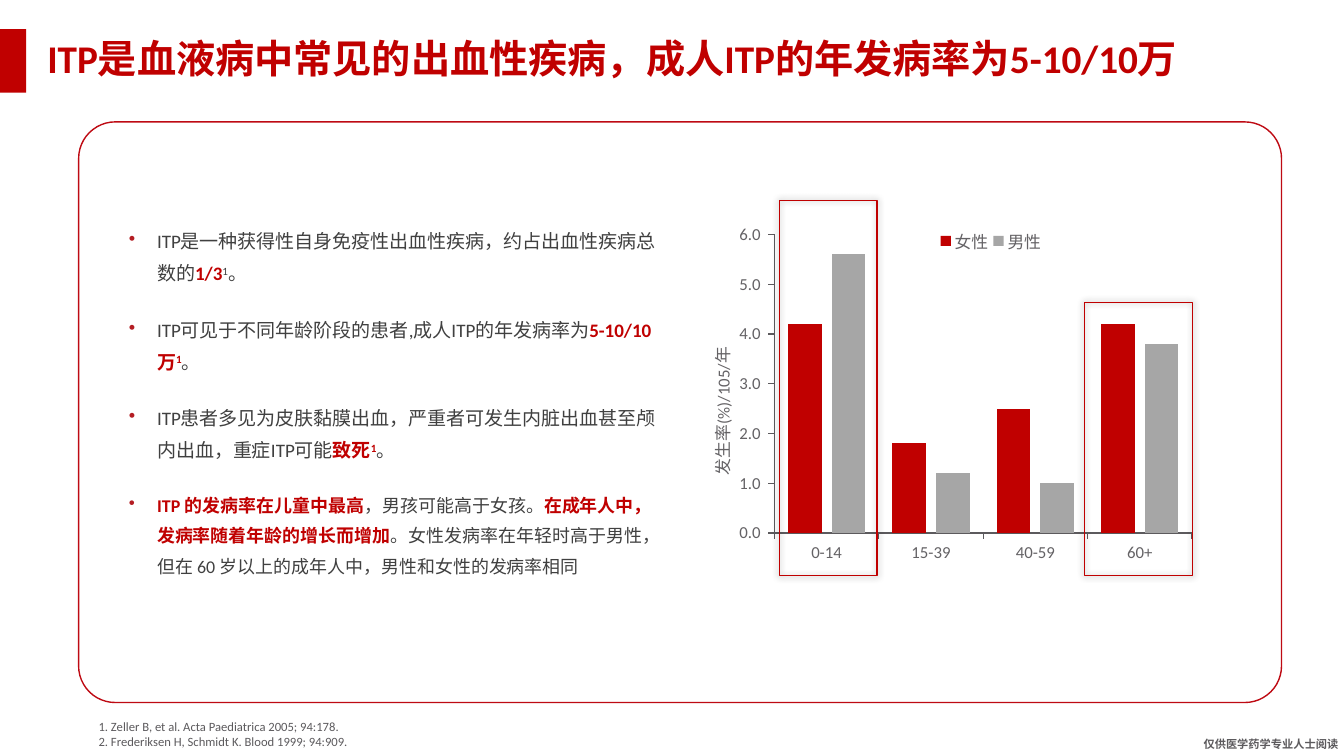
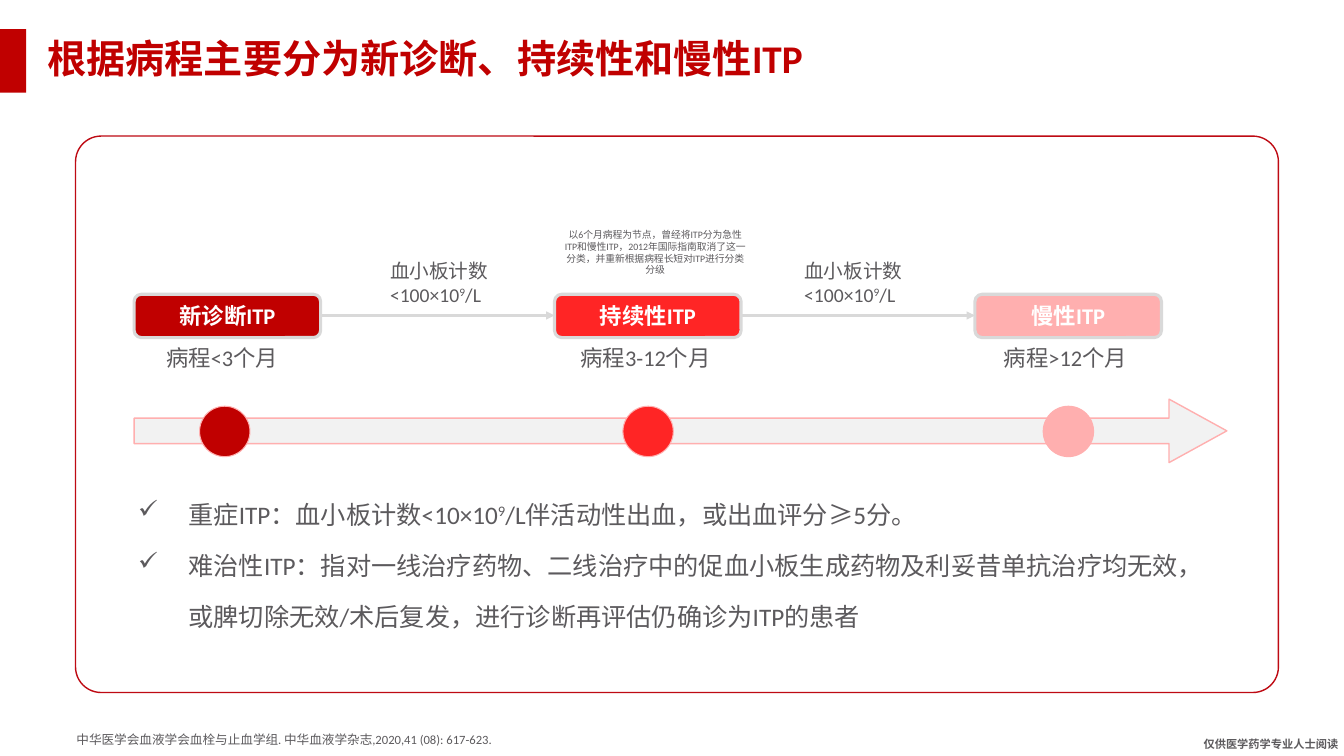
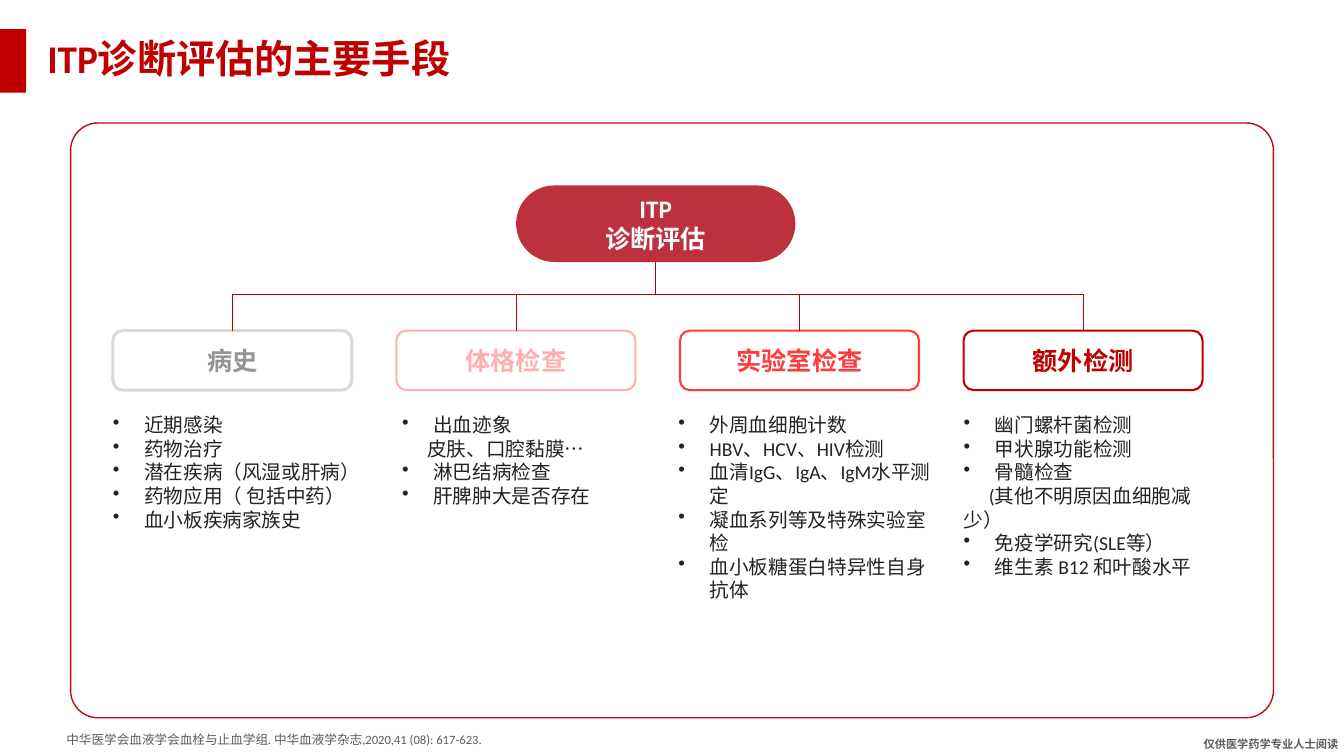
"""Build three slides on the incidence, phases and work-up of ITP."""
from lxml.etree import SubElement
from pptx import Presentation
from pptx.chart.data import CategoryChartData
from pptx.dml.color import RGBColor
from pptx.enum.chart import XL_CHART_TYPE, XL_LEGEND_POSITION, XL_TICK_MARK
from pptx.enum.shapes import MSO_CONNECTOR, MSO_SHAPE
from pptx.enum.text import MSO_ANCHOR, PP_ALIGN
from pptx.oxml.ns import qn
from pptx.util import Inches, Pt

HUE = {
    "red": "C00000", "frame": "BE0A13", "dot": "B41D23", "root": "BD313E",
    "vivid": "FF2525", "coral": "FF3B3B", "pink": "FFAFAF", "white": "FFFFFF",
    "pale": "F2F2F2", "line": "D9D9D9", "bar": "A6A6A6", "mid": "959396",
    "axis": "646265", "ink": "5C5A5D", "body": "404040", "dark": "232323",
}
RGB = {name: RGBColor.from_string(code) for name, code in HUE.items()}
FONT = "Calibri"

deck = Presentation()
deck.slide_width, deck.slide_height = Inches(13.33), Inches(7.5)
col, row = deck.slide_width / 100, deck.slide_height / 100


def put(page, kind, at, text="", size=14, tone="ink", bold=False, align=PP_ALIGN.LEFT,
        anchor=MSO_ANCHOR.TOP, fill=None, edge=None, thick=1, pad=None,
        mark=None, hang=0, tint=None, lead=1, gap=0):
    """Add a shape or text box, placed in hundredths of the slide."""
    x, y, w, h = at
    area = [int(n) for n in (x * col, y * row, w * col, h * row)]
    if kind is None:
        shape = page.shapes.add_textbox(*area)
    else:
        shape = page.shapes.add_shape(kind, *area)
        shape.shadow.inherit = False
        if fill:
            shape.fill.solid()
            shape.fill.fore_color.rgb = RGB[fill]
        else:
            shape.fill.background()
        if edge:
            shape.line.color.rgb = RGB[edge]
            shape.line.width = Pt(thick)
        else:
            shape.line.fill.background()
    if not text:
        return shape
    frame = shape.text_frame
    frame.word_wrap = True
    frame.vertical_anchor = anchor
    if pad is not None:
        frame.margin_left = frame.margin_right = pad
        frame.margin_top = frame.margin_bottom = pad
    frame.text = text
    for step, para in enumerate(frame.paragraphs):
        note = para.text.startswith(">")
        parts = para.text.lstrip(">").split("|")
        para.text = parts[0]
        for part in parts[1:]:
            para.add_run().text = part
        if mark:
            props = para._p.get_or_add_pPr()
            props.set("marL", "0" if note else str(Inches(hang)))
            props.set("indent", str(Inches(0.25 if note else -hang)))
            if tint:
                paint = SubElement(props, qn("a:buClr"))
                SubElement(paint, qn("a:srgbClr"), val=HUE[tint])
            if not note:
                SubElement(props, qn("a:buChar"), char=mark)
        para.alignment = align
        para.line_spacing = lead
        para.space_before = Pt(gap if step else 0)
        para.space_after = Pt(gap)
        for run in para.runs:
            strong, raised = "*" in run.text, "^" in run.text
            run.text = run.text.replace("*", "").replace("^", "")
            run.font.name, run.font.size = FONT, Pt(size)
            run.font.bold = bold or strong
            run.font.color.rgb = RGB["red" if strong else tone]
            if raised:
                run._r.get_or_add_rPr().set("baseline", "30000")
    return shape


def link(page, x, y, to_x, to_y, tone, thick, head=False):
    """Add a straight line, with an arrowhead at its end if asked."""
    line = page.shapes.add_connector(
        MSO_CONNECTOR.STRAIGHT, int(x * col), int(y * row), int(to_x * col), int(to_y * row))
    line.line.color.rgb = RGB[tone]
    line.line.width = Pt(thick)
    if head:
        SubElement(line.line._get_or_add_ln(), qn("a:tailEnd"), type="triangle")
    SubElement(line._element.spPr, qn("a:effectLst"))


guide = "中华医学会血液学会血栓与止血学组. 中华血液学杂志,2020,41 (08): 617-623."
trials = ("1. Zeller B, et al. Acta Paediatrica 2005; 94:178.\n"
          "2. Frederiksen H, Schmidt K. Blood 1999; 94:909.")
plan = [
    ("ITP是血液病中常见的出血性疾病，成人ITP的年发病率为5-10/10万",
     (5.85, 16.13, 89.5, 76.8), 0.063, trials, (6.6, 94.4)),
    ("根据病程主要分为新诊断、持续性和慢性ITP",
     (5.62, 18, 89.5, 73.6), 0.046, guide, (4.95, 96.13)),
    ("ITP诊断评估的主要手段",
     (5.25, 16.27, 89.5, 78.67), 0.046, guide, (4.2, 96.13)),
]
pages = []
for title, area, curve, source, spot in plan:
    page = deck.slides.add_slide(deck.slide_layouts[6])
    put(page, MSO_SHAPE.RECTANGLE, (0, 3.87, 1.95, 8.4), fill="red")
    put(page, None, (89.55, 97.5, 10.4, 2.4), "仅供医学药学专业人士阅读", 8, bold=True, pad=0)
    put(page, None, (2.78, 3.87, 95, 8.4), title, 28, "red", True,
        anchor=MSO_ANCHOR.MIDDLE, lead=0.9)
    frame = put(page, MSO_SHAPE.ROUNDED_RECTANGLE, area, edge="frame")
    frame.adjustments[0] = curve
    put(page, None, (*spot, 66, 3.5), source, 9)
    pages.append(page)
rate, phase, exam = pages

facts = put(rate, None, (8.85, 27.33, 40.88, 50.8), "\n".join([
    "ITP是一种获得性自身免疫性出血性疾病，约占出血性疾病总数的|*1/3|^1|。",
    "ITP可见于不同年龄阶段的患者,成人ITP的年发病率为|*5-10/10万|*^1|。",
    "ITP患者多见为皮肤黏膜出血，严重者可发生内脏出血甚至颅内出血，重症ITP可能|*致死|*^1|。",
    "*ITP 的发病率在儿童中最高|，男孩可能高于女孩。|*在成年人中，发病率随着年龄的增长而增加"
    "|。女性发病率在年轻时高于男性，但在 60 岁以上的成年人中，男性和女性的发病率相同",
]), 13.6, "body", anchor=MSO_ANCHOR.MIDDLE, mark="•", hang=0.28, tint="dot", lead=1.4, gap=8.8)
for run in facts.text_frame.paragraphs[-1].runs:
    run.font.size = Pt(12.8)

data = CategoryChartData()
data.categories = ["0-14", "15-39", "40-59", "60+"]
data.add_series("女性", (4.2, 1.8, 2.5, 4.2))
data.add_series("男性", (5.6, 1.2, 1, 3.8))
chart = rate.shapes.add_chart(
    XL_CHART_TYPE.COLUMN_CLUSTERED, int(51.3 * col), int(22.93 * row),
    int(37.43 * col), int(52.53 * row), data).chart
chart.has_title = False
chart.font.name, chart.font.size = FONT, Pt(12)
chart.font.color.rgb = RGB["axis"]
plot = chart.plots[0]
plot.gap_width, plot.overlap, plot.vary_by_categories = 81, -30, False
for series, tone in zip(plot.series, ("red", "bar")):
    series.format.fill.solid()
    series.format.fill.fore_color.rgb = RGB[tone]
for axis in (chart.category_axis, chart.value_axis):
    axis.has_major_gridlines = False
    axis.major_tick_mark = XL_TICK_MARK.OUTSIDE
    axis.format.line.color.rgb = RGB["ink"]
    axis.format.line.width = Pt(0.75)
scale = chart.value_axis
scale.minimum_scale, scale.maximum_scale, scale.major_unit = 0, 6, 1
scale.tick_labels.number_format = "0.0_ "
scale.tick_labels.number_format_is_linked = False
label = scale.axis_title.text_frame
label.text = "发生率(%)/105/年"
face = label.paragraphs[0].runs[0].font
face.name, face.size, face.bold = FONT, Pt(12), False
face.color.rgb = RGB["axis"]
chart.has_legend = True
chart.legend.position = XL_LEGEND_POSITION.TOP
chart.legend.include_in_layout = False

for tag, index, sides in (
        ("c:plotArea", 0, {"x": 0.169, "y": 0.154, "w": 0.831, "h": 0.752}),
        ("c:valAx/" + "c:title", 1, {"x": 0.03, "y": 0.43}),
        ("c:legend", 1, {"x": 0.49, "y": 0.13, "w": 0.22, "h": 0.08})):
    node = chart.element.find(".//" + "/".join(qn(name) for name in tag.split("/")))
    for old in node.findall(qn("c:layout")):
        node.remove(old)
    layout = SubElement(node, qn("c:layout"))
    node.insert(index, layout)
    manual = SubElement(layout, qn("c:manualLayout"))
    if tag == "c:plotArea":
        SubElement(manual, qn("c:layoutTarget"), val="inner")
    for side in "xy":
        SubElement(manual, qn(f"c:{side}Mode"), val="edge")
    for side, share in sides.items():
        SubElement(manual, qn("c:" + side), val=str(share))

for area in ((57.98, 26.53, 7.28, 49.6), (80.7, 40, 8.03, 36.13)):
    ring = put(rate, MSO_SHAPE.RECTANGLE, area, edge="red")
    glow = SubElement(ring._element.spPr.find(qn("a:effectLst")), qn("a:outerShdw"),
                      blurRad=str(Pt(5)), dist="0", dir="0", algn="ctr", rotWithShape="0")
    shade = SubElement(glow, qn("a:srgbClr"), val="000000")
    SubElement(shade, qn("a:alpha"), val="40000")

put(phase, None, (9.53, 62.53, 80.93, 21.07), "\n".join([
    "重症ITP：血小板计数<10×10|^9|/L伴活动性出血，或出血评分≥5分。",
    "难治性ITP：指对一线治疗药物、二线治疗中的促血小板生成药物及利妥昔单抗治疗均无效，"
    "或脾切除无效/术后复发，进行诊断再评估仍确诊为ITP的患者",
]), 18, mark="✓", hang=0.5, lead=1.7)
arrow = put(phase, MSO_SHAPE.RIGHT_ARROW, (9.98, 52.8, 81.3, 8.4), fill="pale", edge="pink")
arrow.adjustments[0], arrow.adjustments[1] = 0.401, 0.91
left, step, wide = 9.98, 31.28, 13.88
stages = [
    ("新诊断ITP", "red", 14.85, "病程<3个月", 11.62, 10.05),
    ("持续性ITP", "vivid", 46.35, "病程3-12个月", 42.45, 11.33),
    ("慢性ITP", "pink", 77.62, "病程>12个月", 73.95, 10.88),
]
for i, (name, tone, dot, span, start, room) in enumerate(stages):
    put(phase, MSO_SHAPE.ROUNDED_RECTANGLE, (left + i * step, 38.93, wide, 5.73), name, 16,
        "white", True, PP_ALIGN.CENTER, MSO_ANCHOR.MIDDLE, tone, "line", 2.25)
    put(phase, MSO_SHAPE.OVAL, (dot, 53.73, 3.75, 6.67), fill=tone, edge="pink", thick=0.75)
    put(phase, None, (start, 44.8, room, 4.93), span, 16)
for i, start in enumerate((28.28, 59.1)):
    put(phase, None, (start, 33.6, 9.75, 7.6), "血小板计数\n<100×10|^9|/L")
    link(phase, left + i * step + wide, 41.73, left + (i + 1) * step, 41.73, "line", 1.5, True)
put(phase, None, (41.25, 29.6, 15, 7.6),
    "以6个月病程为节点，曾经将ITP分为急性ITP和慢性ITP，2012年国际指南取消了这一分类，"
    "并重新根据病程长短对ITP进行分类分级", 7, align=PP_ALIGN.CENTER)

root = put(exam, MSO_SHAPE.ROUNDED_RECTANGLE, (38.4, 24.53, 20.78, 10.13), "ITP\n诊断评估", 18,
           "white", True, PP_ALIGN.CENTER, MSO_ANCHOR.MIDDLE, "root")
root.adjustments[0] = 0.5
left, step, wide, top, rail = 8.4, 21.1, 17.78, 43.73, 38.93
tests = [
    ("病史", "mid", "line", 2.25, 8.4,
     ["近期感染", "药物治疗", "潜在疾病（风湿或肝病）", "药物应用（ 包括中药）", "血小板疾病家族史"]),
    ("体格检查", "pink", "pink", 1.5, 29.92,
     ["出血迹象", ">皮肤、口腔黏膜…", "淋巴结病检查", "肝脾肿大是否存在"]),
    ("实验室检查", "coral", "coral", 1.5, 50.48,
     ["外周血细胞计数", "HBV、HCV、HIV检测", "血清IgG、IgA、IgM水平测定",
      "凝血系列等及特殊实验室检", "血小板糖蛋白特异性自身抗体"]),
    ("额外检测", "red", "red", 1.5, 71.7,
     ["幽门螺杆菌检测", "甲状腺功能检测", "骨髓检查", ">(其他不明原因血细胞减少）",
      "免疫学研究(SLE等）", "维生素 B12 和叶酸水平"]),
]
for i, (name, tone, edge, thick, start, items) in enumerate(tests):
    x = left + i * step
    put(exam, MSO_SHAPE.ROUNDED_RECTANGLE, (x, top, wide, 7.87), name, 18, tone, True,
        PP_ALIGN.CENTER, MSO_ANCHOR.MIDDLE, edge=edge, thick=thick)
    put(exam, None, (start, 54.67, 18.9, 16.53), "\n".join(items), 14, "dark",
        pad=0, mark="•", hang=0.31)
    link(exam, x + wide / 2, rail, x + wide / 2, top, "red", 0.5)
link(exam, left + wide / 2, rail, left + 3 * step + wide / 2, rail, "red", 0.5)
link(exam, 48.79, 34.66, 48.79, rail, "red", 0.5)

deck.save("out.pptx")
